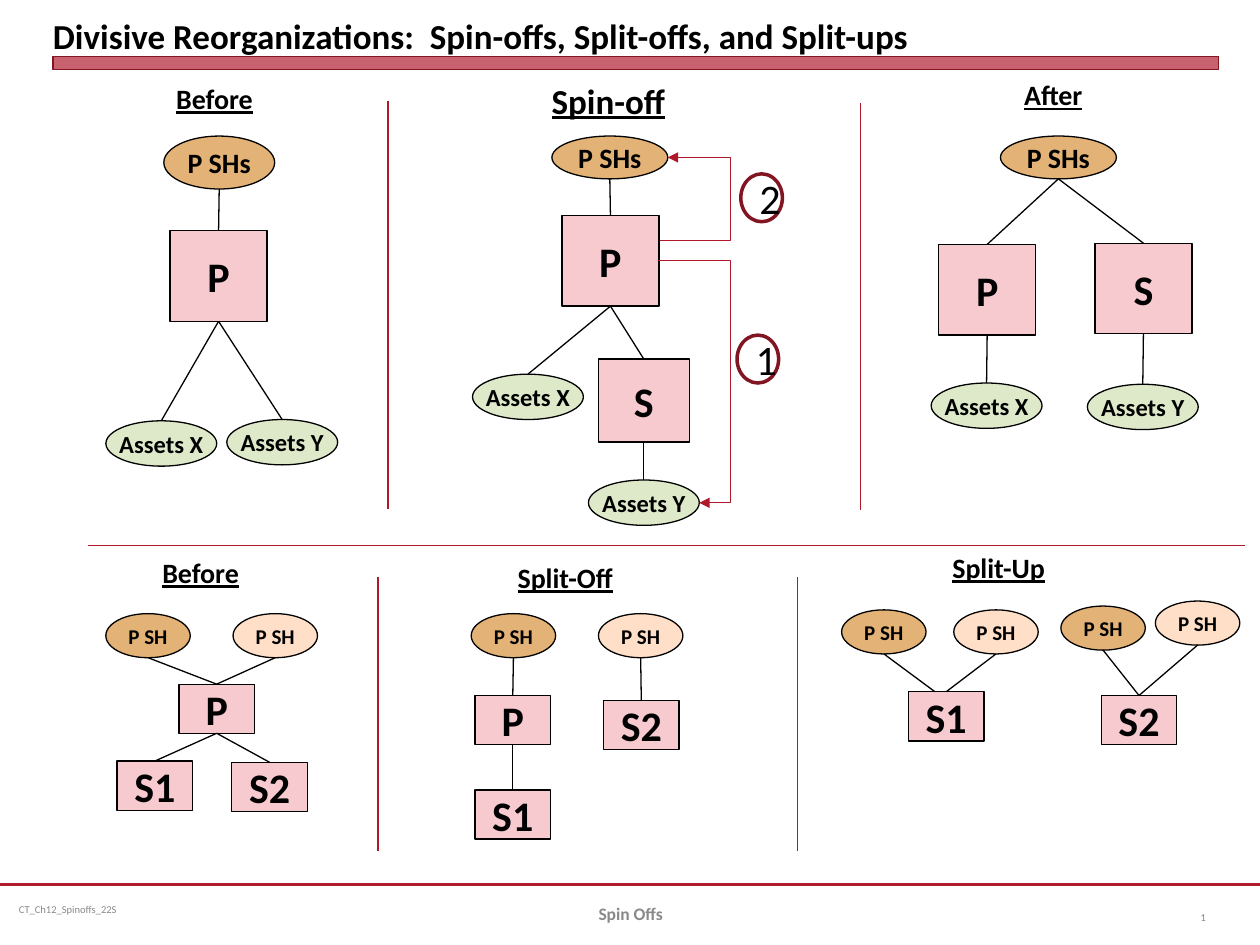
from pptx import Presentation
from pptx.dml.color import RGBColor
from pptx.enum.shapes import MSO_CONNECTOR as Wire, MSO_SHAPE as Form
from pptx.enum.text import MSO_ANCHOR as Anchor, PP_ALIGN as Align
from pptx.oxml.ns import qn
from pptx.util import Inches, Pt
from lxml.etree import SubElement

INK = dict(black="000000", red="B0182A", rule="B01C2E", dark="821522", gray="898989",
           mid="808080", pink="F7CAD0", green="DEE9C9", tan="E3B276", peach="FFDFC8")
KINDS = dict(
    box=(Form.RECTANGLE, 0.77, 0.72, "pink", 24),
    sub=(Form.RECTANGLE, 0.72, 0.66, "pink", 24),
    firm=(Form.RECTANGLE, 0.6, 0.39, "pink", 24),
    asset=(Form.OVAL, 0.88, 0.36, "green", 14),
    group=(Form.OVAL, 0.92, 0.34, "tan", 16),
    first=(Form.OVAL, 0.88, 0.42, "tan", 16),
    tan=(Form.OVAL, 0.67, 0.35, "tan", 12),
    peach=(Form.OVAL, 0.67, 0.35, "peach", 12),
)


class Chart:
    """Draws ownership diagrams on one slide in a single style."""

    def __init__(self, deck, font="Calibri"):
        self.slide = deck.slides.add_slide(deck.slide_layouts[6])
        self.shapes = self.slide.shapes
        self.font = font

    def color(self, name):
        return RGBColor.from_string(INK[name])

    def text(self, shape, words, size, ink="black", align=Align.CENTER, wrap=False,
             anchor=Anchor.MIDDLE, inset=None, **style):
        frame = shape.text_frame
        frame.word_wrap = wrap
        frame.vertical_anchor = anchor
        if inset is not None:
            for side in ("left", "top", "right", "bottom"):
                setattr(frame, f"margin_{side}", Inches(inset))
        para = frame.paragraphs[0]
        para.alignment = align
        run = para.add_run()
        run.text = words
        for key, value in dict(name=self.font, size=Pt(size), **style).items():
            setattr(run.font, key, value)
        run.font.color.rgb = self.color(ink)

    def label(self, spot, words, size, **style):
        self.text(self.shapes.add_textbox(*map(Inches, spot)), words, size, **style)

    def head(self, spot, words, size=16):
        self.label(spot, words, size, align=Align.LEFT, anchor=Anchor.TOP,
                   bold=True, underline=True)

    def shape(self, form, spot, fill, ink="black", width=0.75):
        item = self.shapes.add_shape(form, *map(Inches, spot))
        item.shadow.inherit = False
        if fill:
            item.fill.solid()
            item.fill.fore_color.rgb = self.color(fill)
        else:
            item.fill.background()
        item.line.color.rgb = self.color(ink)
        item.line.width = Pt(width)
        return item

    def node(self, kind, words, left, top):
        form, wide, high, fill, size = KINDS[kind]
        item = self.shape(form, (left, top, wide, high), fill)
        self.text(item, words, size, bold=True)
        return left + wide / 2, top, top + high

    def ring(self, words, left, top):
        item = self.shape(Form.OVAL, (left, top, 0.33, 0.38), None, "dark", 2)
        self.text(item, words, 24, wrap=True)

    def line(self, start, end, ink="black", width=0.75, kind=Wire.STRAIGHT):
        wire = self.shapes.add_connector(kind, *map(Inches, (*start, *end)))
        wire.line.color.rgb = self.color(ink)
        wire.line.width = Pt(width)
        SubElement(wire.line._get_or_add_ln().getparent(), qn("a:effectLst"))
        return wire

    def link(self, upper, *lower, shift=0):
        for node in lower:
            self.line((upper[0], upper[2]), (node[0] + shift, node[1]))

    def elbow(self, start, end, turn):
        wire = self.line(start, end, "red", kind=Wire.ELBOW)
        ratio = (turn - start[0]) / (end[0] - start[0])
        geom = wire._element.spPr.find(qn("a:prstGeom"))
        guides = geom.find(qn("a:avLst"))
        if guides is None:
            guides = SubElement(geom, qn("a:avLst"))
        SubElement(guides, qn("a:gd"), name="adj1", fmla=f"val {round(ratio * 100000)}")
        SubElement(wire.line._get_or_add_ln(), qn("a:tailEnd"), type="triangle")


deck = Presentation()
deck.slide_width, deck.slide_height = Inches(10), Inches(7.5)
c = Chart(deck)

c.line((0, 7.02), (10, 7.02), "rule", 1.25)
bar = c.shape(Form.RECTANGLE, (0.42, 0.45, 9.25, 0.1), "rule", "dark", 0)
tint = bar._element.spPr.find(qn("a:solidFill"))[0]
SubElement(tint, qn("a:alpha"), val="69000")
c.label((0.42, 0.05, 9.25, 0.4), "Divisive Reorganizations:  Spin-offs, Split-offs, and Split-ups",
        20, align=Align.LEFT, anchor=Anchor.BOTTOM, wrap=True, inset=0, bold=True)
c.label((0.08, 7.02, 2.58, 0.4), "CT_Ch12_Spinoffs_22S", 6, ink="gray", align=Align.LEFT,
        wrap=True, inset=0.07)
c.label((3.42, 7.05, 3.17, 0.4), "Spin Offs", 10, ink="gray", wrap=True, bold=True)
c.label((9.17, 7.08, 0.5, 0.4), "1", 6, ink="mid", align=Align.RIGHT, wrap=True)

c.line((0.7, 4.33), (9.88, 4.33), "red")
for x, top, end in ((3.08, 0.8, 4.04), (6.83, 0.82, 4.05), (3, 4.58, 6.75), (6.33, 4.58, 6.75)):
    c.line((x, top), (x, end), "red")

c.head((1.3, 0.6, 0.82, 0.37), "Before")
own = c.node("first", "P SHs", 1.3, 1.08)
p = c.node("box", "P", 1.35, 1.83)
c.link(own, p)
c.link(p, c.node("asset", "Assets X", 0.84, 3.34), c.node("asset", "Assets Y", 1.8, 3.33))

c.head((4.28, 0.58, 1.12, 0.44), "Spin-off", 20)
own = c.node("group", "P SHs", 4.38, 1.08)
p = c.node("box", "P", 4.46, 1.71)
s = c.node("sub", "S", 4.75, 2.85)
c.link(own, p)
c.link(p, c.node("asset", "Assets X", 3.75, 2.97), s)
c.link(s, c.node("asset", "Assets Y", 4.67, 3.81))
c.elbow((5.22, 2.07), (5.55, 3.99), 5.8)
c.elbow((5.24, 1.91), (5.3, 1.25), 5.8)
c.ring("1", 5.85, 2.66)
c.ring("2", 5.88, 1.38)

c.head((8.03, 0.57, 0.68, 0.37), "After")
own = c.node("group", "P SHs", 7.94, 1.08)
p = c.node("box", "P", 7.45, 1.94)
s = c.node("box", "S", 8.69, 1.93)
c.link(own, p, s)
c.link(p, c.node("asset", "Assets X", 7.39, 3.04))
c.link(s, c.node("asset", "Assets Y", 8.63, 3.05))

c.head((1.19, 4.36, 0.82, 0.37), "Before")
p = c.node("firm", "P", 1.42, 5.43)
for kind, x in (("tan", 0.84), ("peach", 1.85)):
    c.link(c.node(kind, "P SH", x, 4.87), p)
c.link(p, c.node("firm", "S1", 0.93, 6.04), c.node("firm", "S2", 1.84, 6.05))

c.head((4.01, 4.4, 0.97, 0.37), "Split-Off")
p = c.node("firm", "P", 3.77, 5.52)
c.link(c.node("tan", "P SH", 3.74, 4.87), p)
c.link(p, c.node("firm", "S1", 3.77, 6.27))
c.link(c.node("peach", "P SH", 4.75, 4.87), c.node("firm", "S2", 4.79, 5.56))

c.head((7.46, 4.32, 0.95, 0.37), "Split-Up")
s = c.node("firm", "S1", 7.21, 5.49)
c.link(c.node("tan", "P SH", 6.68, 4.84), s, shift=-0.09)
c.link(c.node("peach", "P SH", 7.57, 4.84), s)
s = c.node("firm", "S2", 8.74, 5.52)
for kind, x, y in (("tan", 8.42, 4.81), ("peach", 9.17, 4.77)):
    c.link(c.node(kind, "P SH", x, y), s)

deck.save("out.pptx")
